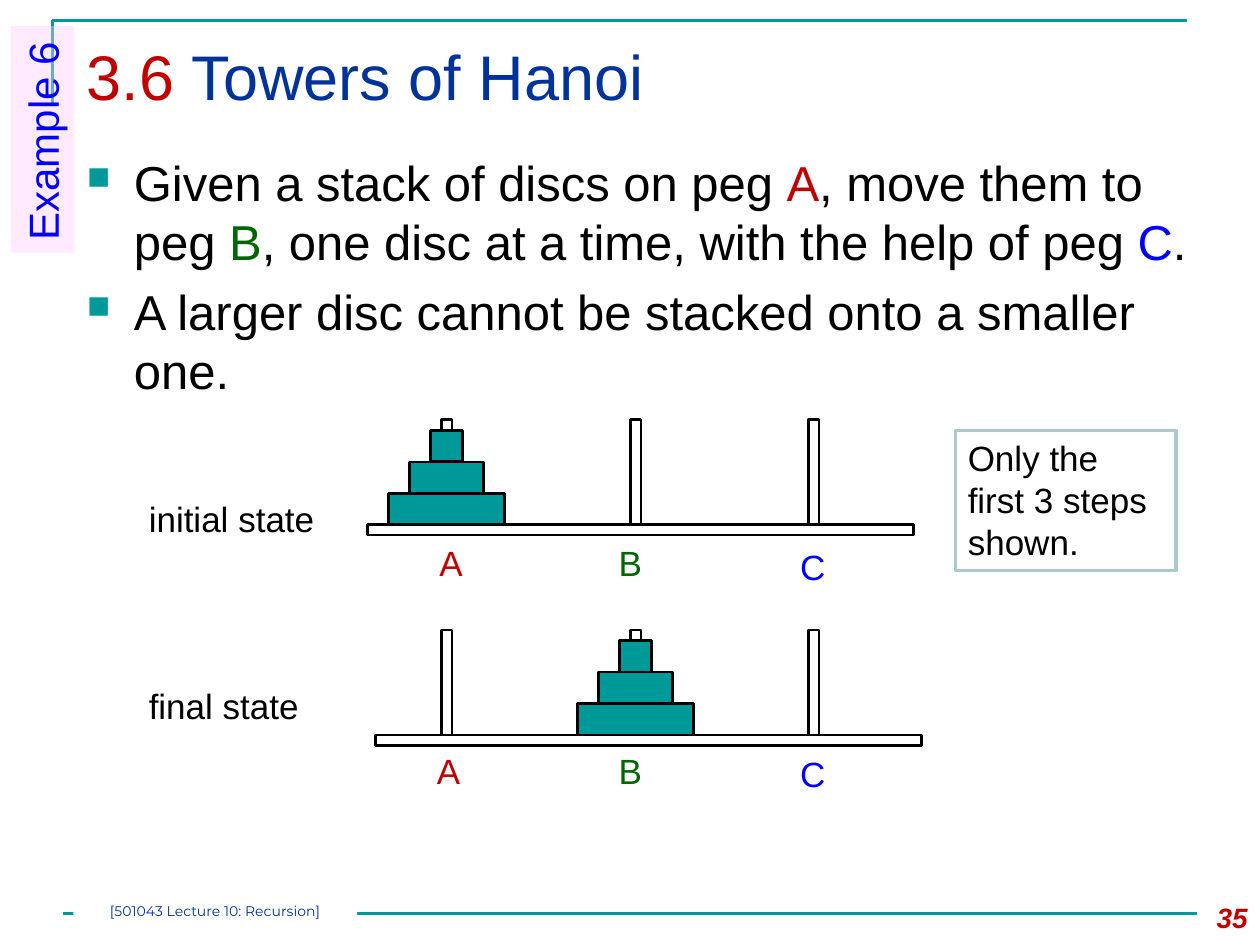
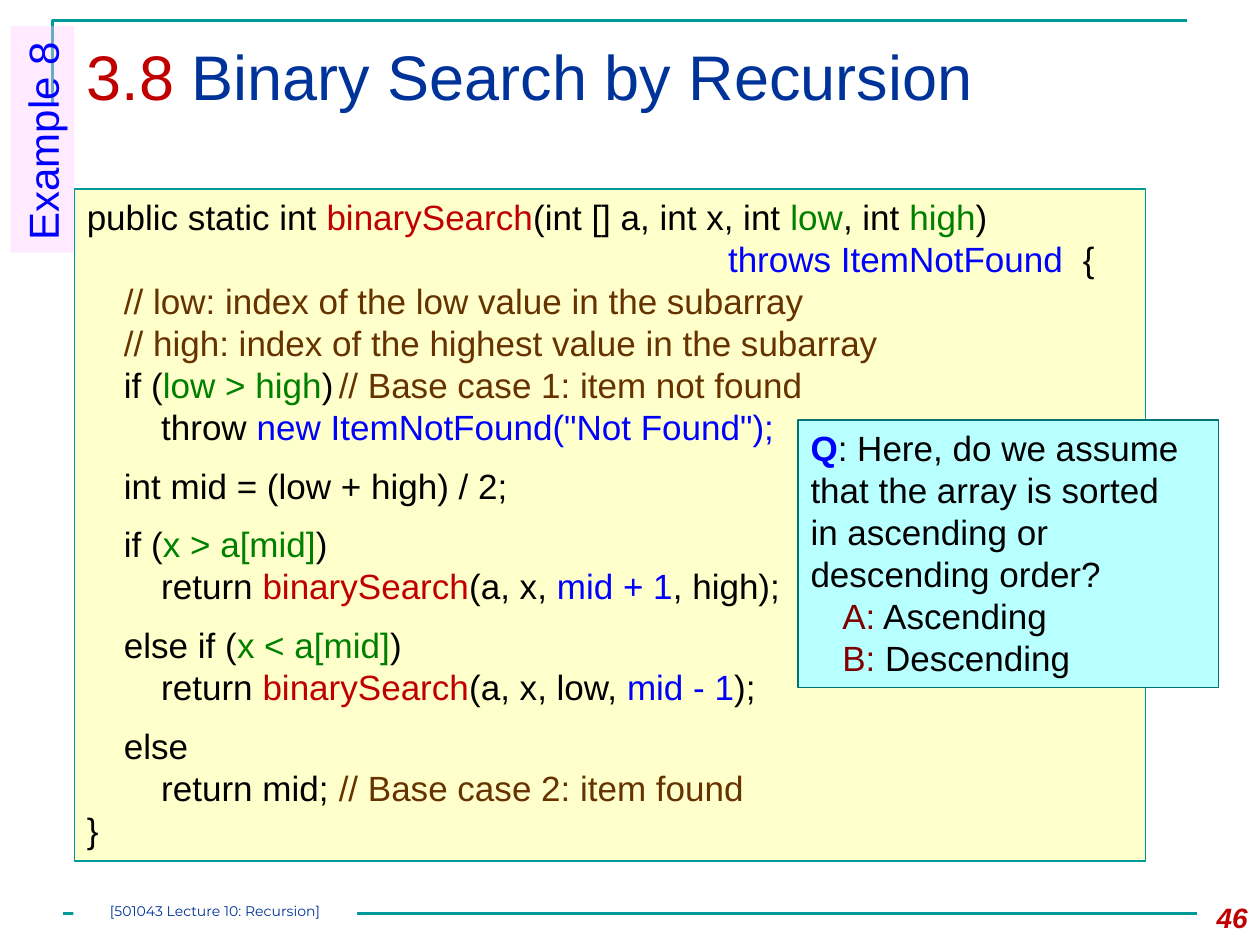
from lxml import etree
from pptx import Presentation
from pptx import util as u
from pptx.dml.color import RGBColor
from pptx.enum import shapes, text
from pptx.oxml.ns import qn

Cm, Pt = u.Cm, u.Pt
HUES = {
    "teal": "009999", "navy": "003399", "red": "C00000", "blue": "0000FF",
    "green": "006600", "leaf": "008000", "brown": "663300", "wine": "800000",
    "black": "000000", "white": "FFFFFF", "pink": "FFCCFF", "cream": "FFFFCC",
    "aqua": "B8FFFF", "deep": "007373", "mist": "AACACA",
}
TABS = [0.75, 1.5, 2.25, 3, 5.08]
PEGS = [("A", "red", 9), ("B", "green", 12.81), ("C", "blue", 16.4)]
CODE = [
    (0, [("public static int ", "black"), ("binarySearch", "red"),
         ("(int [] a, int x, int ", "black"), ("low", "leaf"), (", int ", "black"),
         ("high", "leaf"), (")", "black")]),
    (0, [("\t                                                              ", "black"),
         ("throws ItemNotFound  ", "blue"), ("{", "black")]),
    (0, [("\t// low: index of the low value in the subarray", "brown")]),
    (0, [("\t// high: index of the highest value in the subarray", "brown")]),
    (0, [("\tif (", "black"), ("low > high", "leaf"), (")\t", "black"),
         ("// Base case 1: item not found", "brown")]),
    (0, [("\t\tthrow ", "black"), ('new ItemNotFound("Not Found");', "blue")]),
    (9.6, [("\tint mid = (low + high) / 2;", "black")]),
    (9.6, [("\tif (", "black"), ("x > a[mid]", "leaf"), (")", "black")]),
    (0, [("\t\treturn ", "black"), ("binarySearch", "red"), ("(a, x, ", "black"),
         ("mid + 1", "blue"), (", high);", "black")]),
    (9.6, [("\telse if (", "black"), ("x < a[mid]", "leaf"), (")", "black")]),
    (0, [("\t\treturn ", "black"), ("binarySearch", "red"), ("(a, x, low, ", "black"),
         ("mid - 1", "blue"), (");", "black")]),
    (9.6, [("\telse", "black")]),
    (0, [("\t\treturn mid;", "black"), ("\t// Base case 2: item found", "brown")]),
    (0, [("}", "black")]),
]


def hue(name):
    """Return the named colour."""
    return RGBColor.from_string(HUES[name])


def place(box):
    """Turn left, top, width and height in centimetres into lengths."""
    return [Cm(v) for v in box]


def rect(slide, box, fill=None, line=None, width=1.5):
    """Add a flat rectangle."""
    shape = slide.shapes.add_shape(shapes.MSO_SHAPE.RECTANGLE, *place(box))
    shape.shadow.inherit = False
    if fill:
        shape.fill.solid()
        shape.fill.fore_color.rgb = hue(fill)
    else:
        shape.fill.background()
    if line:
        shape.line.color.rgb = hue(line)
        shape.line.width = Pt(width)
    else:
        shape.line.fill.background()
    return shape


def tabs(para, stops):
    """Set left tab stops on a paragraph."""
    group = etree.SubElement(para._p.get_or_add_pPr(), qn("a:tabLst"))
    for stop in stops:
        etree.SubElement(group, qn("a:tab"), pos=str(Cm(stop)), algn="l")


def bullet(para):
    """Give a paragraph a small square bullet and a hanging indent."""
    props = para._p.get_or_add_pPr()
    props.set("marL", str(Cm(0.95)))
    props.set("indent", str(-Cm(0.95)))
    tint = etree.SubElement(props, qn("a:buClr"))
    etree.SubElement(tint, qn("a:srgbClr"), val=HUES["teal"])
    etree.SubElement(props, qn("a:buSzPct"), val="65000")
    etree.SubElement(props, qn("a:buChar"), char="■")


def write(shape, paras, size, font="Arial", align="LEFT", stops=(),
          dots=False, wrap=True, bold=None, slant=None):
    """Fill a shape with paragraphs, each a gap before and coloured runs."""
    frame = shape.text_frame
    frame.word_wrap = wrap
    frame.vertical_anchor = text.MSO_ANCHOR.TOP
    for i, (gap, runs) in enumerate(paras):
        para = frame.add_paragraph() if i else frame.paragraphs[0]
        para.alignment = getattr(text.PP_ALIGN, align)
        if gap:
            para.space_before = Pt(gap)
        if dots:
            bullet(para)
        if stops:
            tabs(para, stops)
        para.font.name, para.font.size = font, Pt(size)
        para.font.bold, para.font.italic = bold, slant
        for words, tint in runs:
            for j, part in enumerate(words.split("\n")):
                if j:
                    para.add_line_break()
                run = para.add_run()
                run.text = part
                run.font.color.rgb = hue(tint)
    return frame


def label(slide, box, runs, size, **style):
    """Add a text box with one paragraph."""
    write(slide.shapes.add_textbox(*place(box)), [(0, runs)], size, **style)


def start(deck, head, name, page):
    """Add a slide with its frame lines, title and page number."""
    slide = deck.slides.add_slide(deck.slide_layouts[6])
    path = slide.shapes.build_freeform(Cm(1.06), Cm(2.12))
    path.add_line_segments([(Cm(1.06), Cm(0.42)), (Cm(23.92), Cm(0.42))], close=False)
    edge = path.convert_to_shape()
    edge.shadow.inherit = False
    edge.fill.background()
    rule = slide.shapes.add_connector(
        shapes.MSO_CONNECTOR.STRAIGHT, Cm(1.27), Cm(18.42), Cm(24.13), Cm(18.42))
    etree.SubElement(rule._element.spPr, qn("a:effectLst"))
    for item in (edge, rule):
        item.line.color.rgb = hue("teal")
        item.line.width = Pt(1.5)
    label(slide, (1.5, 0.64, 23, 2.18), [(head + " ", "red"), (name, "navy")], 36)
    label(slide, (23.71, 18.03, 1.69, 1.02), [(page, "red")], 16,
          align="RIGHT", bold=True, slant=True)
    return slide


def finish(slide, tag):
    """Add the upright example tag and the footer."""
    side = rect(slide, (-1.43, 2.17, 4.57, 1.28), "pink")
    side.rotation = 270
    tint = side._element.spPr.find(qn("a:solidFill"))[0]
    etree.SubElement(tint, qn("a:alpha"), val="40000")
    write(side, [(0, [(tag, "blue")])], 24)
    foot = rect(slide, (1.48, 18.2, 5.72, 0.42), "white")
    frame = write(foot, [(0, [("[501043 Lecture 10: Recursion]", "navy")])], 8,
                  font="Montserrat", align="CENTER")
    frame.margin_left = frame.margin_right = 0
    frame.margin_top = frame.margin_bottom = 0


def state(slide, name, spot, base, full, marks):
    """Draw three pegs on a base with the discs on one peg."""
    left, top = base
    label(slide, spot, [(name, "black")], 20, wrap=False)
    for i, (peg, tint, mid) in enumerate(PEGS):
        rect(slide, (mid - 0.1, top - 2.12, 0.21, 2.12), line="black")
        x, y = marks[i]
        label(slide, (x, y, 1, 1.1), [(peg, tint)], 20, wrap=False)
        if peg == full:
            for n in range(3):
                wide = 0.64 + 0.85 * n
                rect(slide, (mid - wide / 2, top - 0.635 * (3 - n), wide, 0.635),
                     "teal", "black")
    rect(slide, (left, top, 11.01, 0.21), line="black")


def hanoi(deck):
    """Build the Towers of Hanoi slide."""
    slide = start(deck, "3.6", "Towers of Hanoi", "35")
    rules = [
        (0, [("Given a stack of discs on peg ", "black"), ("A", "red"),
             (", move them to peg ", "black"), ("B", "green"),
             (", one disc at a time, with the help of peg ", "black"),
             ("C", "blue"), (".", "black")]),
        (6, [("A larger disc cannot be stacked onto a smaller one.", "black")]),
    ]
    body = slide.shapes.add_textbox(*place((1.5, 2.96, 23.5, 5.29)))
    write(body, rules, 28, dots=True)
    state(slide, "initial state", (2.75, 9.9, 3.84, 1.1), (7.41, 10.58), "A",
          [(8.61, 10.8), (12.22, 10.8), (15.88, 10.87)])
    state(slide, "final state", (2.75, 13.68, 3.76, 1.1), (7.57, 14.82), "B",
          [(8.56, 14.99), (12.22, 14.99), (15.88, 15.04)])
    note = rect(slide, (19.26, 8.68, 4.45, 2.82), "white", "mist", 2)
    write(note, [(0, [("Only the first 3 steps shown.", "black")])], 20)
    finish(slide, "Example 6")


def search(deck):
    """Build the binary search slide."""
    slide = start(deck, "3.8", "Binary Search by Recursion", "46")
    code = rect(slide, (1.5, 3.81, 21.59, 13.55), "cream", "teal", 0.75)
    write(code, CODE, 20, stops=TABS)
    quiz = rect(slide, (16.09, 8.47, 8.47, 5.39), "aqua", "deep", 0.75)
    ask = [
        (0, [("Q", "blue"), (": Here, do we assume that the array is sorted \n"
                             "in ascending or descending order?", "black")]),
        (0, [("\tA:", "wine"), (" Ascending", "black")]),
        (0, [("\tB:", "wine"), (" Descending", "black")]),
    ]
    frame = write(quiz, ask, 20, stops=[0.64])
    frame.paragraphs[0].runs[0].font.bold = True
    finish(slide, "Example 8")


def main():
    """Build and save the deck."""
    deck = Presentation()
    deck.slide_width, deck.slide_height = Cm(25.4), Cm(19.05)
    hanoi(deck)
    search(deck)
    deck.save("out.pptx")


if __name__ == "__main__":
    main()
